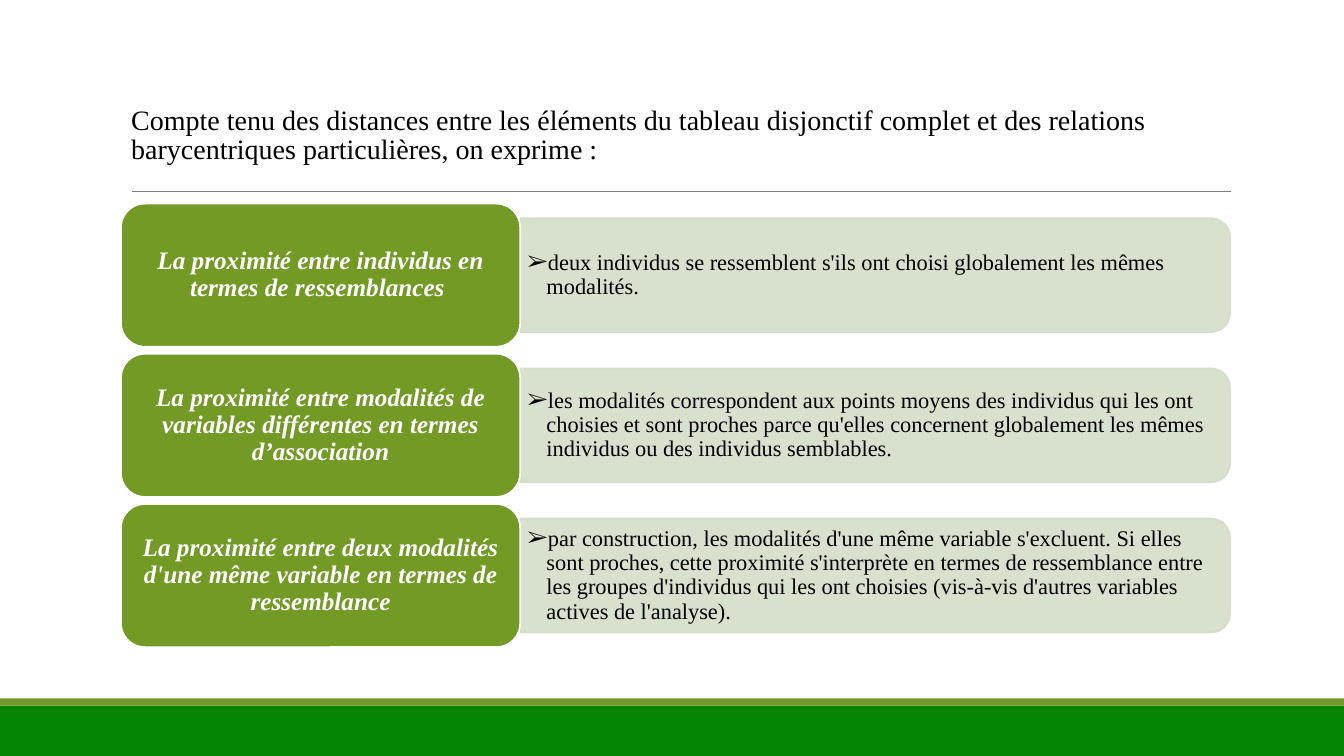
"""Builds the slide on proximities between individuals and categories."""
import pptx
import pptx.util
import pptx.dml.color
import pptx.enum.shapes
import pptx.enum.text
import pptx.oxml
import pptx.oxml.ns
import lxml.etree

HEADING = ("Compte tenu des distances entre les éléments du tableau disjonctif complet "
           "et des relations barycentriques particulières, on exprime :")
PROXIMITIES = [
    ("La proximité entre individus en termes de ressemblances ",
     "deux individus se ressemblent s'ils ont choisi globalement les mêmes modalités."),
    ("La proximité entre modalités de variables différentes en termes d’association",
     "les modalités correspondent aux points moyens des individus qui les ont choisies "
     "et sont proches parce qu'elles concernent globalement les mêmes individus ou des "
     "individus semblables."),
    ("La proximité entre deux modalités d'une même variable en termes de ressemblance",
     "par construction, les modalités d'une même variable s'excluent. Si elles sont "
     "proches, cette proximité s'interprète en termes de ressemblance entre les groupes "
     "d'individus qui les ont choisies (vis-à-vis d'autres variables actives de l'analyse)."),
]
BULLET = "➢"
FONT = "Times New Roman"

Color = pptx.dml.color.RGBColor
BLACK = Color(0x00, 0x00, 0x00)
WHITE = Color(0xFF, 0xFF, 0xFF)
FOOTER_GREEN = Color(0x05, 0x84, 0x05)
STRIPE_GREEN = Color(0x73, 0x9A, 0x28)
LABEL_GREEN = Color(0x72, 0x9A, 0x25)
PANEL_GREEN = Color(0xD4, 0xDD, 0xC9)
RULE_GRAY = Color(0x7F, 0x7F, 0x7F)

WIDTH, HEIGHT = 13.33, 7.5
LEFT, TOP = 1.2, 2.02
LABEL_WIDTH, LABEL_HEIGHT = 3.96, 1.42
PANEL_WIDTH, PANEL_HEIGHT = 7.04, 1.13
ROW_PITCH = 1.49
PANEL_LEFT = LEFT + LABEL_WIDTH
TEXT_WIDTH, TEXT_HEIGHT = 6.98, 1.02
CORNER = 0.167

Inches, Pt = pptx.util.Inches, pptx.util.Pt
SHAPE = pptx.enum.shapes.MSO_SHAPE
ALIGN = pptx.enum.text.PP_ALIGN
ANCHOR = pptx.enum.text.MSO_ANCHOR


def add_block(slide, kind, box, fill, line=None):
    block = slide.shapes.add_shape(kind, *map(Inches, box))
    block.shadow.inherit = False
    block.fill.solid()
    block.fill.fore_color.rgb = fill
    if line is None:
        block.line.fill.background()
    else:
        block.line.color.rgb = line
        block.line.width = Pt(1.25)
    return block


def write(frame, text, size, color, anchor, insets, spacing, align=ALIGN.LEFT, strong=None):
    frame.word_wrap = True
    frame.auto_size = pptx.enum.text.MSO_AUTO_SIZE.NONE
    frame.vertical_anchor = anchor
    frame.margin_left = frame.margin_right = Inches(insets[0])
    frame.margin_top = frame.margin_bottom = Inches(insets[1])
    paragraph = frame.paragraphs[0]
    paragraph.alignment = align
    paragraph.line_spacing = spacing
    run = paragraph.add_run()
    run.text = text
    run.font.name = FONT
    run.font.size = Pt(size)
    run.font.color.rgb = color
    run.font.bold = run.font.italic = strong
    return paragraph


def add_bullet(paragraph, indent):
    properties = paragraph._p.get_or_add_pPr()
    properties.set("marL", str(Inches(indent)))
    properties.set("indent", str(-Inches(indent)))
    qn = pptx.oxml.ns.qn
    bullet_color = lxml.etree.SubElement(properties, qn("a:buClr"))
    lxml.etree.SubElement(bullet_color, qn("a:srgbClr"), val=str(BLACK))
    lxml.etree.SubElement(properties, qn("a:buFont"), typeface=FONT)
    lxml.etree.SubElement(properties, qn("a:buChar"), char=BULLET)


def add_panel(slide, middle):
    center = PANEL_LEFT + PANEL_WIDTH / 2
    box = (center - PANEL_HEIGHT / 2, middle - PANEL_WIDTH / 2, PANEL_HEIGHT, PANEL_WIDTH)
    panel = add_block(slide, SHAPE.ROUND_2_SAME_RECTANGLE, box, PANEL_GREEN, PANEL_GREEN)
    panel.rotation = 90
    panel.adjustments[0] = CORNER
    panel.adjustments[1] = 0
    qn = pptx.oxml.ns.qn
    for color in panel._element.spPr.iter(qn("a:srgbClr")):
        lxml.etree.SubElement(color, qn("a:alpha"), val="90000")


def add_row(slide, index, label, explanation):
    top = TOP + index * ROW_PITCH
    middle = top + LABEL_HEIGHT / 2
    add_panel(slide, middle)
    text_box = (PANEL_LEFT, middle - TEXT_HEIGHT / 2, TEXT_WIDTH, TEXT_HEIGHT)
    frame = slide.shapes.add_textbox(*map(Inches, text_box)).text_frame
    add_bullet(write(frame, explanation, 16, BLACK, ANCHOR.MIDDLE, (0.07, 0.03), 0.9), 0.19)
    block = add_block(slide, SHAPE.ROUNDED_RECTANGLE,
                      (LEFT, top, LABEL_WIDTH, LABEL_HEIGHT), LABEL_GREEN, WHITE)
    block.adjustments[0] = CORNER
    write(block.text_frame, label, 18, WHITE, ANCHOR.MIDDLE, (0.07, 0.04), 0.9,
          ALIGN.CENTER, True)


def main():
    deck = pptx.Presentation()
    deck.slide_width, deck.slide_height = Inches(WIDTH), Inches(HEIGHT)
    slide = deck.slides.add_slide(deck.slide_layouts.get_by_name("Title Only"))

    add_block(slide, SHAPE.RECTANGLE, (0, 7, WIDTH, 0.5), FOOTER_GREEN)
    add_block(slide, SHAPE.RECTANGLE, (0, 6.93, WIDTH, 0.07), STRIPE_GREEN)
    rule = slide.shapes.add_connector(pptx.enum.shapes.MSO_CONNECTOR.STRAIGHT,
                                      *map(Inches, (1.31, 1.9, 12.21, 1.9)))
    rule.line.color.rgb = RULE_GRAY
    rule.line.width = Pt(0.75)
    lxml.etree.SubElement(rule._element.spPr, pptx.oxml.ns.qn("a:effectLst"))

    heading = slide.shapes.title
    heading.left, heading.top = Inches(LEFT), Inches(0.31)
    heading.width, heading.height = Inches(LABEL_WIDTH + PANEL_WIDTH), Inches(1.38)
    write(heading.text_frame, HEADING, 20, BLACK, ANCHOR.BOTTOM, (0.1, 0.05), 0.85)

    for index, (label, explanation) in enumerate(PROXIMITIES):
        add_row(slide, index, label, explanation)
    deck.save("out.pptx")


if __name__ == "__main__":
    main()
